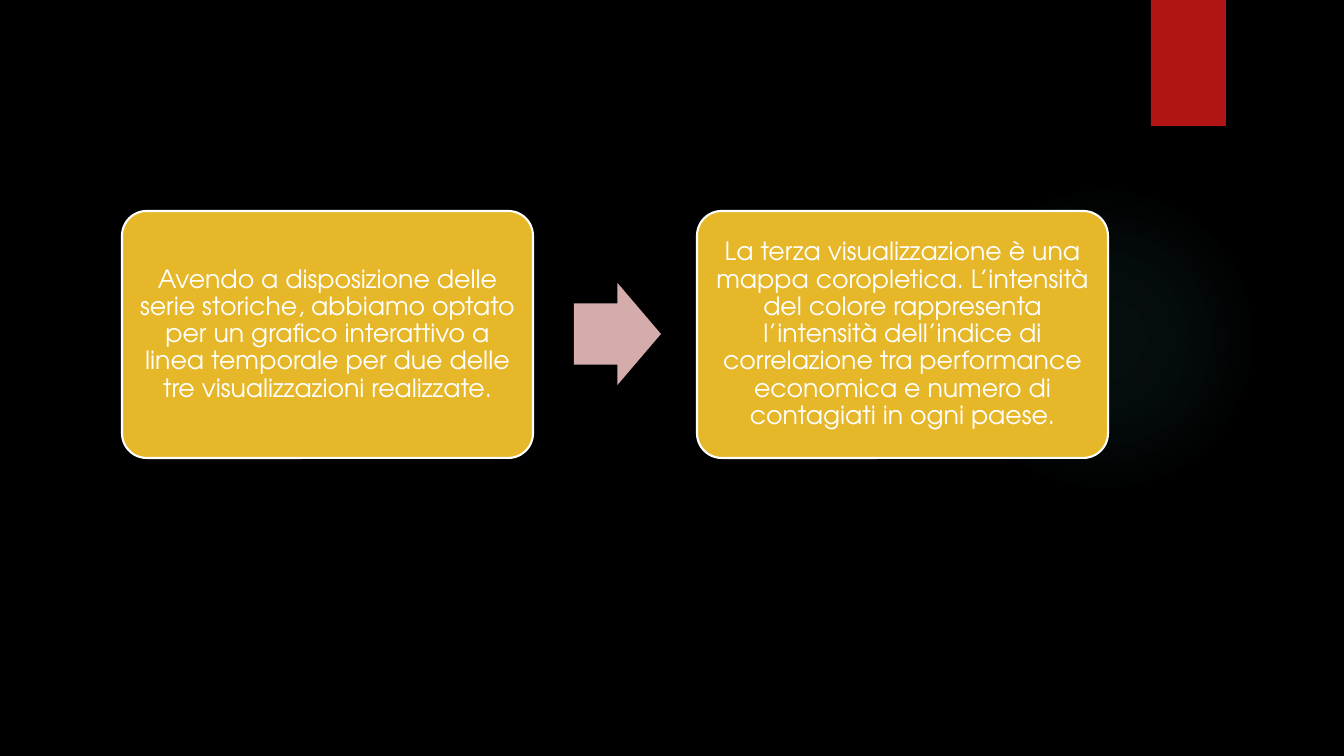
from dataclasses import dataclass

from pptx import Presentation
from pptx.dml.color import RGBColor
from pptx.enum.shapes import MSO_SHAPE
from pptx.enum.text import MSO_ANCHOR, PP_ALIGN
from pptx.oxml import parse_xml
from pptx.oxml.ns import nsdecls
from pptx.shapes.autoshape import Shape
from pptx.slide import Slide
from pptx.util import Emu, Pt

ELLIPSE = MSO_SHAPE.OVAL
RECTANGLE = MSO_SHAPE.RECTANGLE
ROUNDED = MSO_SHAPE.ROUNDED_RECTANGLE
ARROW = MSO_SHAPE.RIGHT_ARROW
MIDDLE = MSO_ANCHOR.MIDDLE
CENTER = PP_ALIGN.CENTER

EMU_PER_PX = 914400 / 100.8
FONT = "TeX Gyre Adventor"
COLORS = {
    "background": "000000",
    "glow": "50B9C1",
    "ribbon": "B01513",
    "step": "E6B729",
    "arrow": "D4ACAB",
    "white": "FFFFFF",
}
GLOW_STOPS = ((0, 7), (36, 6), (69, 0))  # position and opacity, in percent

STEP_TEXTS = (
    "Avendo a disposizione delle serie storiche, abbiamo optato per un grafico "
    "interattivo a linea temporale per due delle tre visualizzazioni realizzate.",
    "La terza visualizzazione è una mappa coropletica. L’intensità del colore "
    "rappresenta l’intensità dell’indice di correlazione tra performance economica "
    "e numero di contagiati in ogni paese.",
)
STEP_PITCH = 575


@dataclass(frozen=True)
class Area:
    left: int
    top: int
    width: int
    height: int


GLOW = Area(949, 184, 310, 310)
RIBBON = Area(1151, 0, 75, 126)
FIRST_STEP = Area(122, 211, 411, 247)
STEP_ARROW = Area(574, 283, 87, 102)


def px(length: int) -> Emu:
    return Emu(round(length * EMU_PER_PX))


def color(name: str) -> RGBColor:
    return RGBColor.from_string(COLORS[name])


def add_figure(page: Slide, kind: MSO_SHAPE, area: Area, fill: str | None = None,
               adjustments: tuple[float, ...] = ()) -> Shape:
    figure = page.shapes.add_shape(
        kind, px(area.left), px(area.top), px(area.width), px(area.height))
    figure.shadow.inherit = False
    figure.line.fill.background()
    if fill:
        figure.fill.solid()
        figure.fill.fore_color.rgb = color(fill)
    else:
        figure.fill.background()
    for index, value in enumerate(adjustments):
        figure.adjustments[index] = value
    return figure


def add_glow(page: Slide, area: Area) -> None:
    glow = add_figure(page, ELLIPSE, area)
    stops = "".join(
        f'<a:gs pos="{position * 1000}"><a:srgbClr val="{COLORS["glow"]}">'
        f'<a:alpha val="{opacity * 1000}"/></a:srgbClr></a:gs>'
        for position, opacity in GLOW_STOPS)
    gradient = parse_xml(
        f'<a:gradFill {nsdecls("a")} rotWithShape="1"><a:gsLst>{stops}</a:gsLst>'
        '<a:path path="circle">'
        '<a:fillToRect l="50000" t="50000" r="50000" b="50000"/>'
        '</a:path></a:gradFill>')
    properties = glow.element.spPr
    properties.replace(properties.find("a:noFill", {"a": gradient.nsmap["a"]}), gradient)


def write_text(box: Shape, text: str, *, size: int, ink: str, inset: int) -> None:
    frame = box.text_frame
    frame.word_wrap = True
    frame.vertical_anchor = MIDDLE
    frame.margin_left = frame.margin_right = px(inset)
    frame.margin_top = frame.margin_bottom = px(inset)
    para = frame.paragraphs[0]
    para.alignment = CENTER
    para.line_spacing = 0.9
    span = para.add_run()
    span.text = text
    span.font.name = FONT
    span.font.size = Pt(size)
    span.font.color.rgb = color(ink)


def add_step(page: Slide, area: Area, text: str) -> None:
    box = add_figure(page, ROUNDED, area, "step", (0.1,))
    box.line.color.rgb = color("white")
    box.line.width = Pt(1.5)
    write_text(box, text, size=18, ink="white", inset=7)


def main() -> None:
    deck = Presentation()
    deck.slide_width, deck.slide_height = px(1344), px(756)
    page = deck.slides.add_slide(deck.slide_layouts[6])
    page.background.fill.solid()
    page.background.fill.fore_color.rgb = color("background")

    # Backdrop
    add_glow(page, GLOW)
    add_figure(page, RECTANGLE, RIBBON, "ribbon")

    # Two steps joined by a block arrow
    for index, text in enumerate(STEP_TEXTS):
        area = Area(FIRST_STEP.left + index * STEP_PITCH, FIRST_STEP.top,
                    FIRST_STEP.width, FIRST_STEP.height)
        add_step(page, area, text)
    add_figure(page, ARROW, STEP_ARROW, "arrow", (0.6, 0.5))

    deck.save("out.pptx")


if __name__ == "__main__":
    main()
